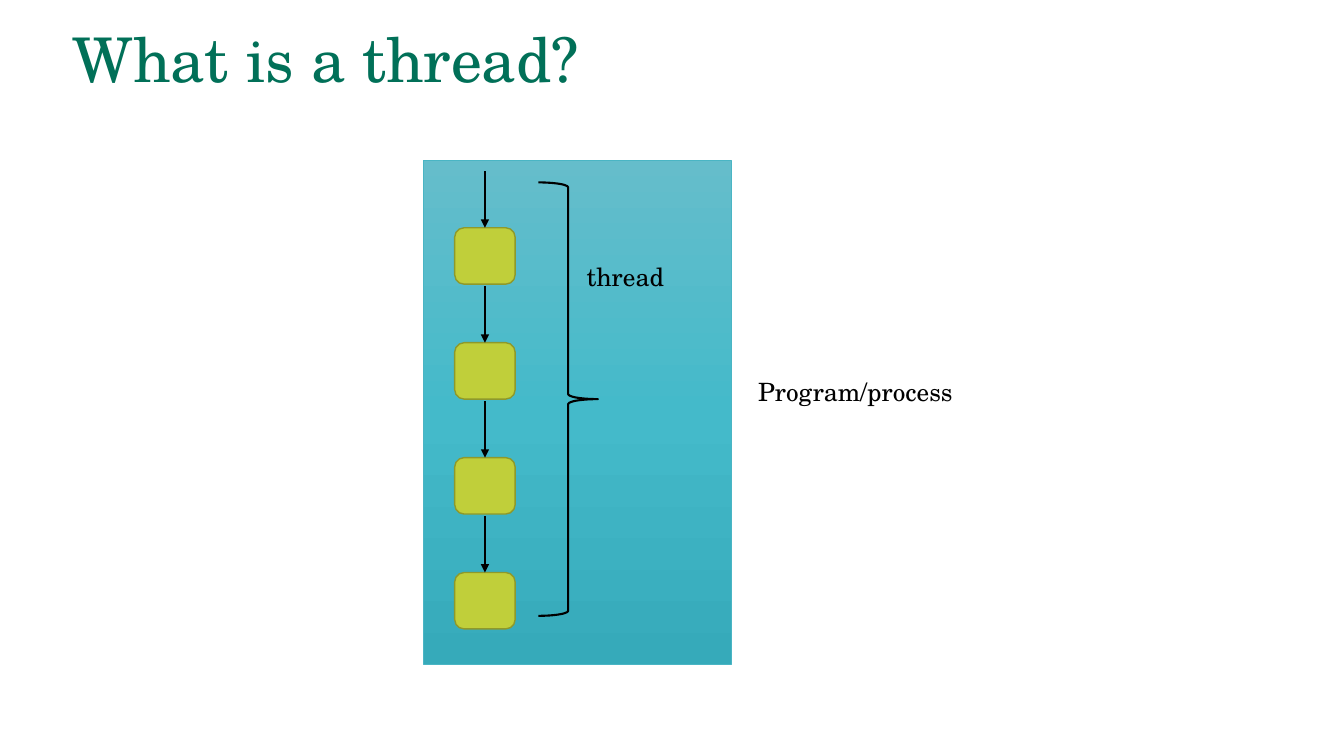
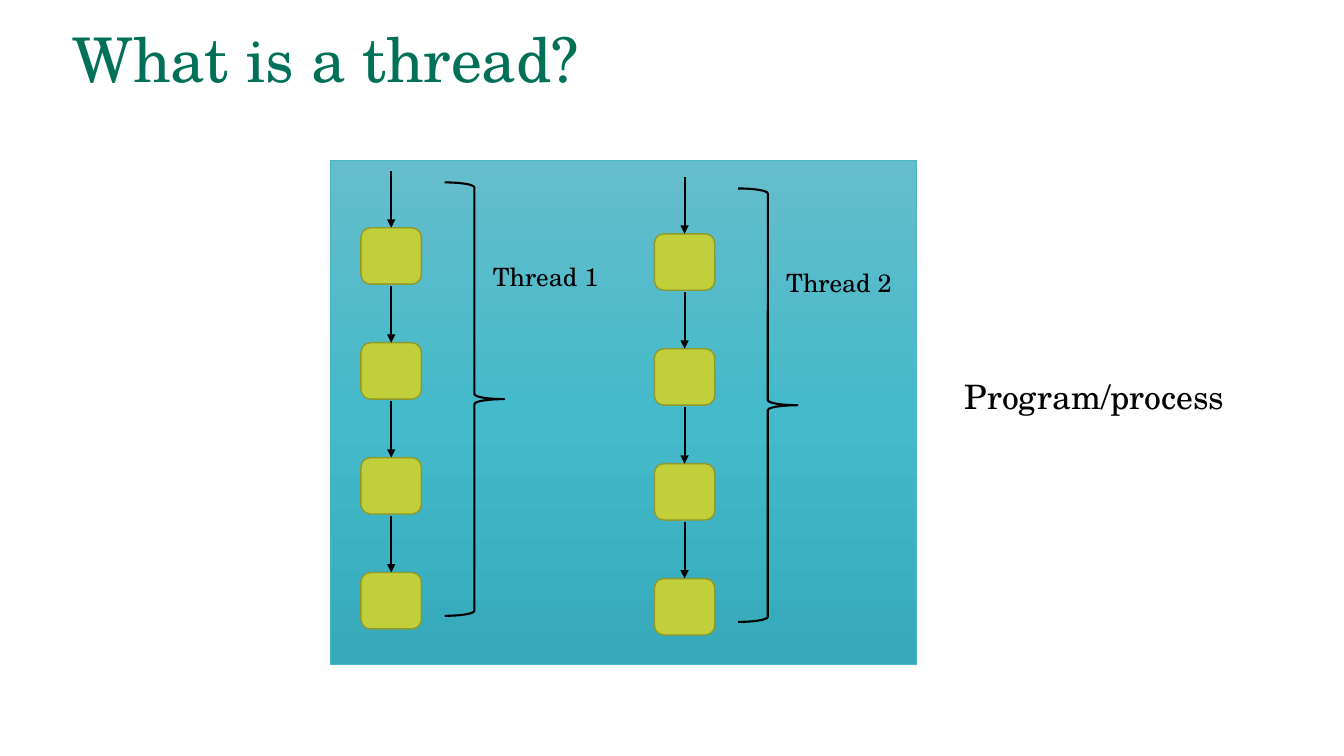
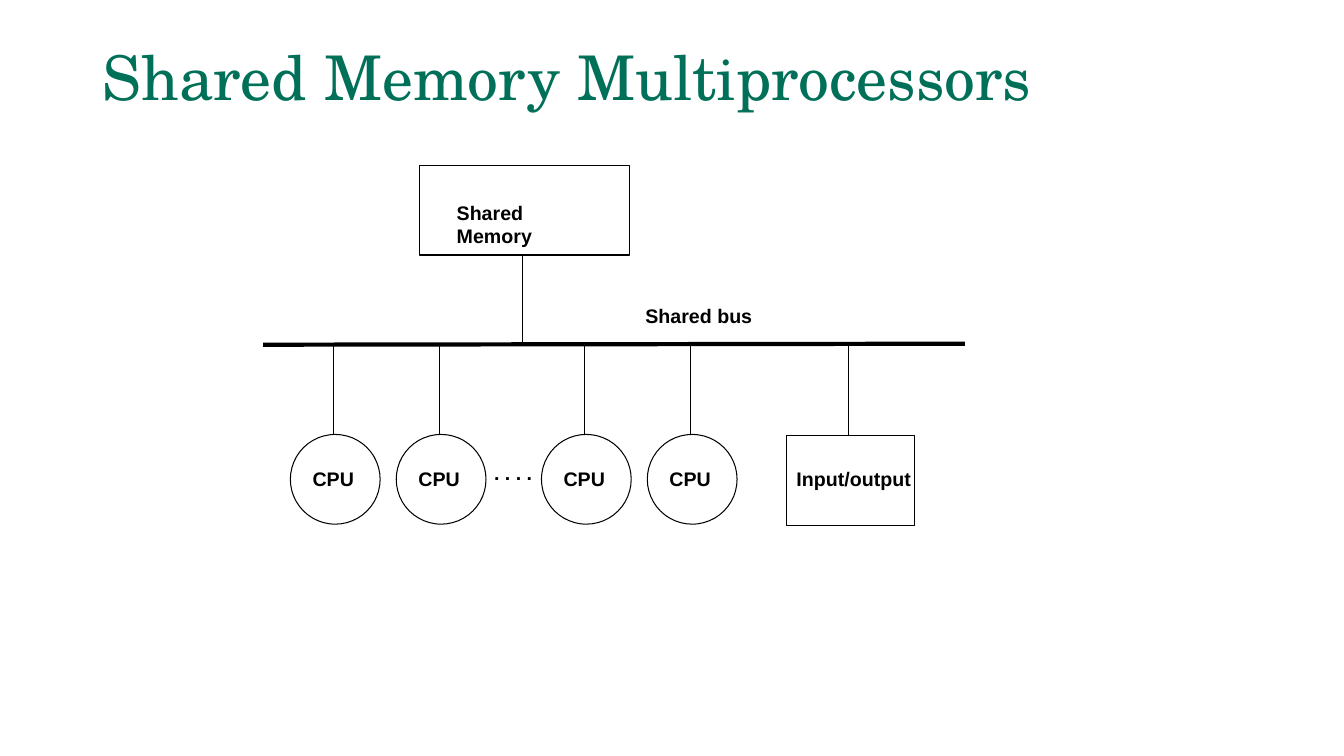
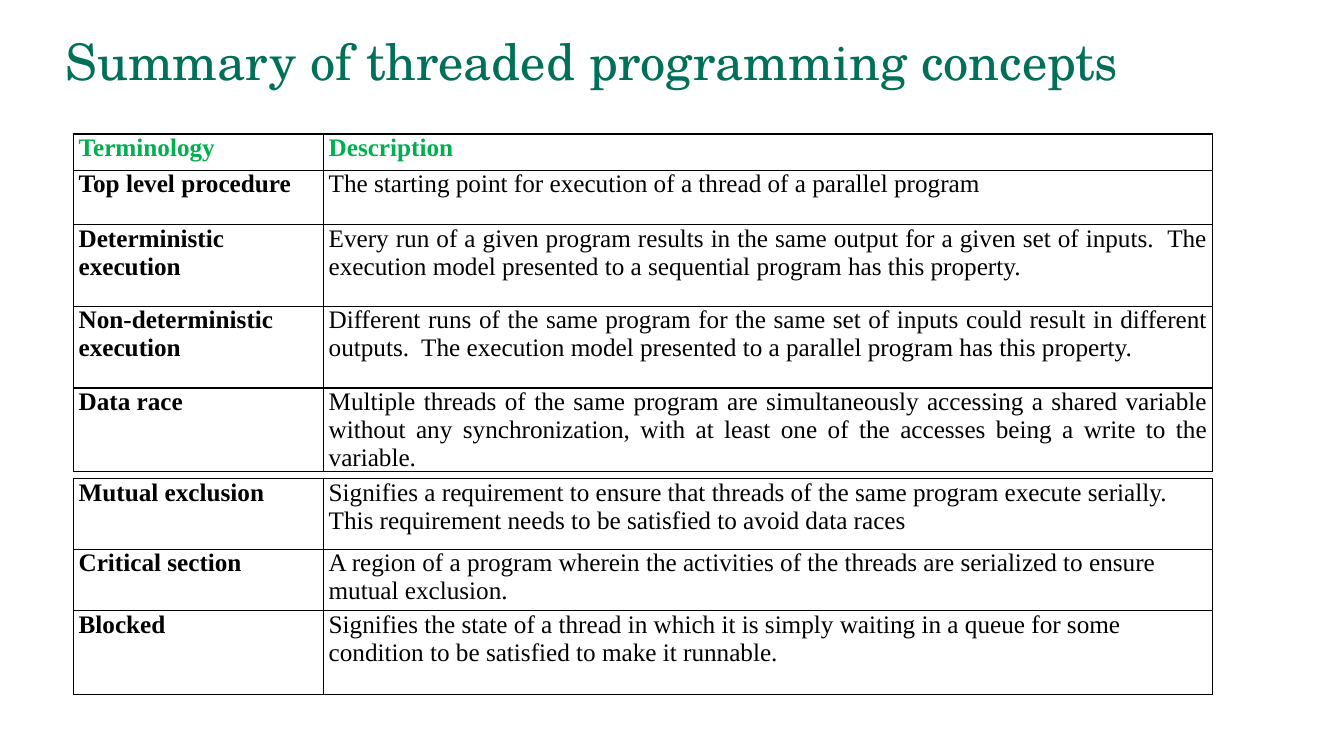
"""Build four slides on threads, shared memory and threaded programming terms."""
from copy import deepcopy
from dataclasses import dataclass

from lxml import etree
from pptx import Presentation
from pptx.dml.color import RGBColor
from pptx.enum.shapes import MSO_CONNECTOR, MSO_SHAPE
from pptx.enum.text import MSO_ANCHOR, MSO_AUTO_SIZE, PP_ALIGN
from pptx.oxml.ns import qn
from pptx.util import Inches, Pt

STRAIGHT = MSO_CONNECTOR.STRAIGHT
RECTANGLE = MSO_SHAPE.RECTANGLE
ROUNDED = MSO_SHAPE.ROUNDED_RECTANGLE
OVAL = MSO_SHAPE.OVAL
BRACE = MSO_SHAPE.RIGHT_BRACE
LEFT, JUSTIFY = PP_ALIGN.LEFT, PP_ALIGN.JUSTIFY
MIDDLE, TOP = MSO_ANCHOR.MIDDLE, MSO_ANCHOR.TOP
NO_AUTOFIT = MSO_AUTO_SIZE.NONE
TITLE_ONLY = 5


@dataclass(frozen=True)
class Theme:
    title: RGBColor = RGBColor.from_string("017058")
    ink: RGBColor = RGBColor.from_string("000000")
    paper: RGBColor = RGBColor.from_string("FFFFFF")
    header: RGBColor = RGBColor.from_string("00B050")
    step: RGBColor = RGBColor.from_string("C0CF3A")
    step_edge: RGBColor = RGBColor.from_string("8E992B")
    program_edge: RGBColor = RGBColor.from_string("4AB5C4")
    program_stops: tuple = ("65BDCB", "44BACA", "36AABA")
    serif: str = "TeX Gyre Schola"
    sans: str = "Arial"
    table_font: str = "Times New Roman"
    title_size: int = 44
    long_title_size: int = 36
    large_size: int = 24
    body_size: int = 18
    diagram_size: int = 14
    thin: float = 0.75
    medium: float = 1.5
    bus: float = 3


THEME = Theme()


def add_outline(slide, kind, box, color, weight, fill=None):
    shape = slide.shapes.add_shape(kind, *map(Inches, box))
    shape.shadow.inherit = False
    shape.line.color.rgb = color
    shape.line.width = Pt(weight)
    if fill is None:
        shape.fill.background()
    else:
        shape.fill.solid()
        shape.fill.fore_color.rgb = fill
    return shape


def add_line(slide, start, end, weight, arrow=False):
    line = slide.shapes.add_connector(STRAIGHT, *map(Inches, start + end))
    line.line.color.rgb = THEME.ink
    line.line.width = Pt(weight)
    properties = line._element.spPr
    if arrow:
        etree.SubElement(properties.find(qn("a:ln")), qn("a:tailEnd"), type="triangle")
    etree.SubElement(properties, qn("a:effectLst"))


presentation = Presentation()
presentation.slide_width = Inches(13.33)
presentation.slide_height = Inches(7.5)

titles = [
    ("What is a thread?", (0.62, 0.22, 11.5, 0.8), THEME.title_size),
    ("What is a thread?", (0.62, 0.22, 11.5, 0.8), THEME.title_size),
    ("Shared Memory Multiprocessors", (0.92, 0.4, 11.5, 0.8), THEME.title_size),
    ("Summary of threaded programming concepts", (0.55, 0.3, 11.1, 0.67), THEME.long_title_size),
]
slides = []
for text, box, size in titles:
    slide = presentation.slides.add_slide(presentation.slide_layouts[TITLE_ONLY])
    title = slide.shapes.title
    title.left, title.top, title.width, title.height = map(Inches, box)
    frame = title.text_frame
    frame.auto_size = NO_AUTOFIT
    frame.vertical_anchor = MIDDLE
    paragraph = frame.paragraphs[0]
    paragraph.alignment = LEFT
    paragraph.line_spacing = 0.9
    run = paragraph.add_run()
    run.text = text
    run.font.name = THEME.serif
    run.font.size = Pt(size)
    run.font.color.rgb = THEME.title
    slides.append(slide)
single_slide, double_slide, memory_slide, summary_slide = slides

thread_labels = [
    (single_slide, "Program/process", (7.42, 3.68, 2.15, 0.4), THEME.body_size),
    (double_slide, "Program/process", (9.47, 3.68, 2.79, 0.5), THEME.large_size),
]
programs = [
    (single_slide, 4.2, 3.05, [("thread", 4.51, 2.26, 0.98)]),
    (double_slide, 3.28, 5.81, [("Thread 1", 3.58, 2.26, 1.26), ("Thread 2", 6.49, 2.32, 1.26)]),
]
for slide, program_left, program_width, threads in programs:
    program = add_outline(slide, RECTANGLE, (program_left, 1.59, program_width, 5),
                          THEME.program_edge, 0.5)
    program.fill.gradient()
    program.fill.gradient_angle = 270
    first_stop = program._element.spPr.find(".//" + qn("a:gs"))
    first_stop.addnext(deepcopy(first_stop))
    for index, (stop, color) in enumerate(zip(program.fill.gradient_stops, THEME.program_stops)):
        stop.position = index / 2
        stop.color.rgb = RGBColor.from_string(color)

    for name, left, top, label_width in threads:
        for step in range(4):
            step_top = top + step * 1.14
            add_outline(slide, ROUNDED, (left, step_top, 0.6, 0.56),
                        THEME.step_edge, 1, THEME.step)
            add_line(slide, (left + 0.3, step_top - 0.56), (left + 0.3, step_top),
                     THEME.medium, arrow=True)
        add_outline(slide, BRACE, (left + 0.83, top - 0.45, 0.59, 4.3), THEME.ink, THEME.medium)
        thread_labels.append((slide, name, (left + 1.21, top + 0.28, label_width, 0.4),
                              THEME.body_size))

memory_labels = [
    ("Shared Memory", 4.47, 1.96, 1.5),
    (". . . .", 4.84, 4.54, 0.55),
    ("Input/output", 7.84, 4.6, 1.3),
    ("Shared bus", 6.34, 2.99, 1.21),
]
for box in [(4.16, 1.64, 2.08, 0.89), (7.8, 4.32, 1.27, 0.89)]:
    add_outline(memory_slide, RECTANGLE, box, THEME.ink, THEME.thin)
add_line(memory_slide, (2.61, 3.42), (9.57, 3.41), THEME.bus)
add_line(memory_slide, (5.18, 2.53), (5.18, 3.41), THEME.thin)
add_line(memory_slide, (8.42, 3.41), (8.42, 4.32), THEME.thin)
for wire in (3.31, 4.36, 5.8, 6.85):
    add_line(memory_slide, (wire, 3.41), (wire, 4.31), THEME.thin)
    add_outline(memory_slide, OVAL, (wire - 0.43, 4.31, 0.89, 0.89), THEME.ink, THEME.thin)
    memory_labels.append(("CPU", wire - 0.27, 4.6, 0.64))

labels = [(*label, THEME.serif, False, (0.1, 0.05)) for label in thread_labels]
labels += [
    (memory_slide, text, (left, top, width, 0.3), THEME.diagram_size, THEME.sans, True, (0.06, 0.03))
    for text, left, top, width in memory_labels
]
for slide, text, box, size, font, bold, (side, edge) in labels:
    frame = slide.shapes.add_textbox(*map(Inches, box)).text_frame
    frame.word_wrap = bold
    frame.margin_left = frame.margin_right = Inches(side)
    frame.margin_top = frame.margin_bottom = Inches(edge)
    run = frame.paragraphs[0].add_run()
    run.text = text
    run.font.name = font
    run.font.size = Pt(size)
    run.font.bold = bold
    run.font.color.rgb = THEME.ink

execution_terms = [
    (0.36, "Terminology", "Description"),
    (0.54, "Top level procedure", "The starting point for execution of a thread of a parallel program"),
    (0.81, "Deterministic execution",
     "Every run of a given program results in the same output for a given set of inputs.  "
     "The execution model presented to a sequential program has this property."),
    (0.81, "Non-deterministic execution",
     "Different runs of the same program for the same set of inputs could result in different "
     "outputs.  The execution model presented to a parallel program has this property."),
    (0.81, "Data race",
     "Multiple threads of the same program are simultaneously accessing a shared variable "
     "without any synchronization, with at least one of the accesses being a write to the variable."),
]
synchronization_terms = [
    (0.7, "Mutual exclusion",
     "Signifies a requirement to ensure that threads of the same program execute serially. "
     "This requirement needs to be satisfied to avoid data races"),
    (0.61, "Critical section",
     "A region of a program wherein the activities of the threads are serialized to ensure "
     "mutual exclusion."),
    (0.83, "Blocked",
     "Signifies the state of a thread in which it is simply waiting in a queue for some "
     "condition to be satisfied to make it runnable."),
]
column_widths = (2.48, 8.82)
for top, terms, description_alignment in [
    (1.33, execution_terms, JUSTIFY),
    (4.75, synchronization_terms, LEFT),
]:
    height = sum(term[0] for term in terms)
    table = summary_slide.shapes.add_table(
        len(terms), 2, Inches(0.73), Inches(top), Inches(sum(column_widths)), Inches(height)
    ).table
    table.first_row = table.horz_banding = False
    for column, width in zip(table.columns, column_widths):
        column.width = Inches(width)
    for row_index, (row_height, *texts) in enumerate(terms):
        table.rows[row_index].height = Inches(row_height)
        is_header = texts[0] == "Terminology"
        for column_index, text in enumerate(texts):
            cell = table.cell(row_index, column_index)
            cell.margin_left = cell.margin_right = Inches(0.05)
            cell.margin_top = cell.margin_bottom = 0
            cell.vertical_anchor = TOP
            cell.fill.solid()
            cell.fill.fore_color.rgb = THEME.paper
            for position, side in enumerate(("a:lnL", "a:lnR", "a:lnT", "a:lnB")):
                border = etree.Element(qn(side), w=str(Pt(1)))
                border_fill = etree.SubElement(border, qn("a:solidFill"))
                etree.SubElement(border_fill, qn("a:srgbClr"), val=str(THEME.ink))
                cell._tc.tcPr.insert(position, border)
            paragraph = cell.text_frame.paragraphs[0]
            paragraph.alignment = description_alignment if column_index and not is_header else LEFT
            run = paragraph.add_run()
            run.text = text
            run.font.name = THEME.table_font
            run.font.size = Pt(THEME.body_size)
            run.font.bold = is_header or column_index == 0
            run.font.color.rgb = THEME.header if is_header else THEME.ink

presentation.save("out.pptx")
